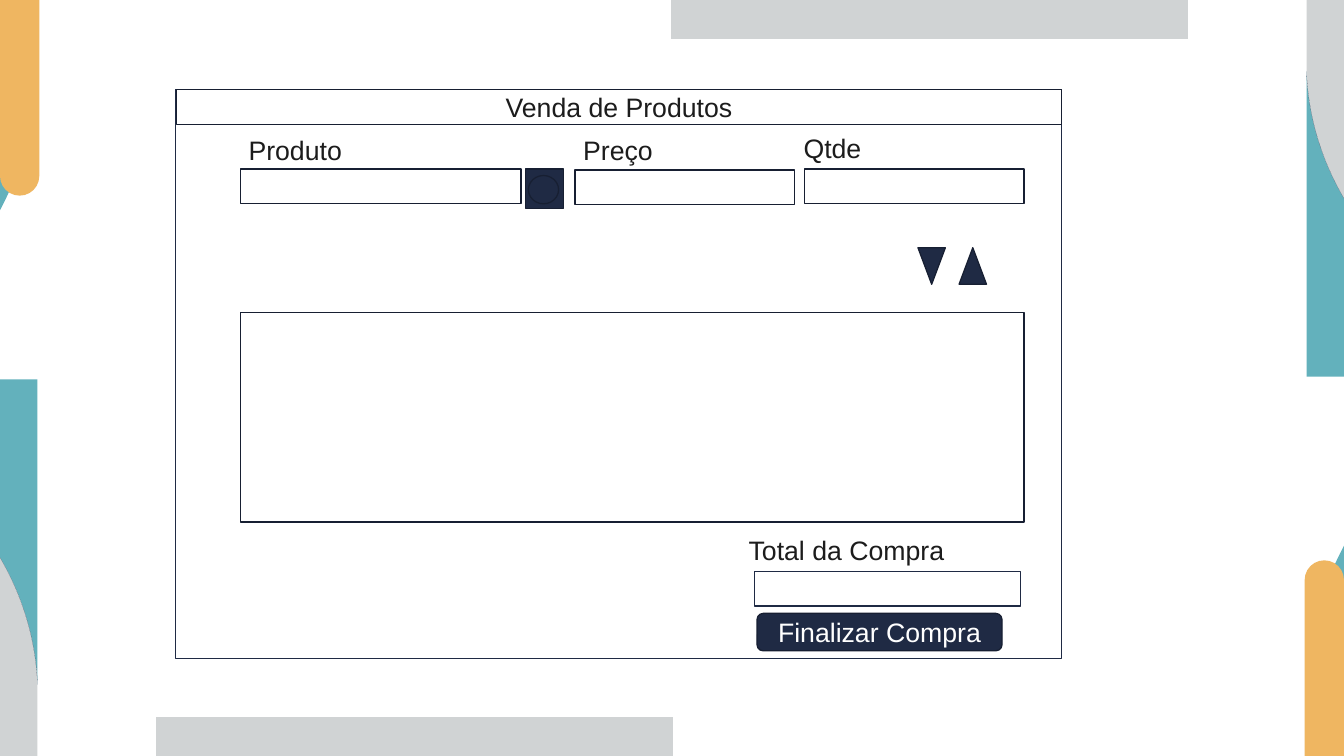
from dataclasses import dataclass

from lxml import etree
from pptx import Presentation
from pptx import util as u
from pptx.dml.color import RGBColor
from pptx.enum import shapes, text
from pptx.oxml import ns

PX = 9144  # EMU per px, 100 px to the inch
WIDTH, HEIGHT = 1470, 827
KIND = shapes.MSO_SHAPE


@dataclass(frozen=True)
class Theme:
    teal: str = "63B1BC"
    gray: str = "D0D3D4"
    amber: str = "EFB661"
    navy: str = "1F2A44"
    edge: str = "171F32"
    ink: str = "1C1C1C"
    white: str = "FFFFFF"
    font: str = "Arial"
    size: int = 21
    line: int = 1


THEME = Theme()


def paint(shape, fill=None, line=None):
    shape.shadow.inherit = False
    if fill:
        shape.fill.solid()
        shape.fill.fore_color.rgb = RGBColor.from_string(fill)
    else:
        shape.fill.background()
    if line:
        shape.line.color.rgb = RGBColor.from_string(line)
        shape.line.width = u.Pt(THEME.line)
    else:
        shape.line.fill.background()


def write(shape, words, color=THEME.ink, **frame_format):
    frame = shape.text_frame
    for name, value in {"word_wrap": True, **frame_format}.items():
        setattr(frame, name, value)
    paragraph = frame.paragraphs[0]
    run = paragraph.add_run()
    run.text = words
    for name, value in {"name": THEME.font, "size": u.Pt(THEME.size)}.items():
        setattr(run.font, name, value)
    run.font.color.rgb = RGBColor.from_string(color)
    return paragraph


def add_box(slide, kind, box, fill=None, line=THEME.edge, rotation=0):
    shape = slide.shapes.add_shape(kind, *(value * PX for value in box))
    shape.rotation = rotation
    paint(shape, fill, line)
    return shape


def add_caption(shape, words, color=THEME.ink):
    paragraph = write(shape, words, color, vertical_anchor=text.MSO_ANCHOR.MIDDLE)
    paragraph.alignment = text.PP_ALIGN.CENTER


def add_label(slide, words, box):
    label = slide.shapes.add_textbox(*(value * PX for value in box))
    write(label, words, auto_size=text.MSO_AUTO_SIZE.SHAPE_TO_FIT_TEXT)


def add_outline(group, segments, fill):
    """Draw segments of one point (start or line) or three points (curve)."""
    points = [(x * PX, y * PX) for segment in segments for x, y in segment]
    builder = group.shapes.build_freeform(*points[0])
    builder.add_line_segments(points[1:], close=True)
    shape = builder.convert_to_shape()
    lines = iter(shape.element.findall(".//" + ns.qn("a:lnTo")))
    for segment in segments[1:]:
        steps = [next(lines) for _ in segment]
        if len(steps) == 3:
            bend = etree.Element(ns.qn("a:cubicBezTo"))
            steps[0].addprevious(bend)
            for step in steps:
                bend.append(step[0])
                step.getparent().remove(step)
    paint(shape, fill)


def add_decoration(slide):
    group = slide.shapes.add_group_shape()
    arc = [[(1470, 217)], [(1446, 176), (1431, 129), (1429, 78)]]
    leaf = [[(1435, 827)], [(1470, 827)], [(1470, 597)],
            [(1444, 646), (1429, 702), (1429, 761)],
            [(1429, 784), (1431, 806), (1435, 827)]]
    bar = [[(734, 0)], [(1299, 0)], [(1299, 43)], [(734, 43)]]
    rim = [[(1429, 79)], [(1431, 129), (1446, 176), (1470, 217)]]
    outlines = (
        (leaf, THEME.teal),
        (bar, THEME.gray),
        (arc + [[(1429, 412)], [(1470, 412)]], THEME.teal),
        (arc + [[(1429, 0)], [(1470, 0)]], THEME.gray),
        (arc + rim, THEME.navy),
    )
    # Each outline appears again, turned half way round the slide centre
    for segments, fill in outlines:
        turned = [[(WIDTH - x, HEIGHT - y) for x, y in segment] for segment in segments]
        add_outline(group, segments, fill)
        add_outline(group, turned, fill)


def add_amber_tabs(slide):
    for left, top, rotation in ((0, 0, 180), (1427, 613, 0)):
        tab = add_box(slide, KIND.ROUND_2_SAME_RECTANGLE, (left, top, 43, 214),
                      THEME.amber, None, rotation)
        tab.adjustments[0] = 0.5
        tab.adjustments[1] = 0


def add_form(slide):
    # Window and title bar
    add_box(slide, KIND.RECTANGLE, (192, 98, 969, 622), THEME.white, THEME.navy)
    title = add_box(slide, KIND.RECTANGLE, (193, 98, 968, 38))
    add_caption(title, "Venda de Produtos")

    # Input fields with their labels
    fields = (
        ("Produto", (262, 141, 165, 45), (263, 185, 307, 38)),
        ("Preço", (628, 142, 165, 45), (629, 186, 240, 38)),
        ("Qtde", (869, 139, 165, 45), (880, 185, 240, 38)),
    )
    for words, label_box, field_box in fields:
        add_box(slide, KIND.RECTANGLE, field_box)
        add_label(slide, words, label_box)

    # Item list and its arrows
    add_box(slide, KIND.RECTANGLE, (263, 342, 857, 229))
    for left, rotation in ((1049, 0), (1004, 180)):
        add_box(slide, KIND.ISOSCELES_TRIANGLE, (left, 271, 30, 40),
                THEME.navy, rotation=rotation)

    # Total and closing button
    add_box(slide, KIND.RECTANGLE, (825, 625, 291, 38), THEME.white, THEME.navy)
    add_label(slide, "Total da Compra", (809, 579, 250, 45))
    button = add_box(slide, KIND.ROUNDED_RECTANGLE, (828, 671, 268, 41), THEME.navy)
    add_caption(button, "Finalizar Compra", THEME.white)

    # Search button
    add_box(slide, KIND.ACTION_BUTTON_CUSTOM, (575, 185, 41, 43), THEME.navy)
    add_box(slide, KIND.OVAL, (578, 192, 33, 31), THEME.navy)


def main():
    presentation = Presentation()
    presentation.slide_width = WIDTH * PX
    presentation.slide_height = HEIGHT * PX
    slide = presentation.slides.add_slide(presentation.slide_layouts[6])
    add_decoration(slide)
    add_form(slide)
    add_amber_tabs(slide)
    presentation.save("out.pptx")


if __name__ == "__main__":
    main()
